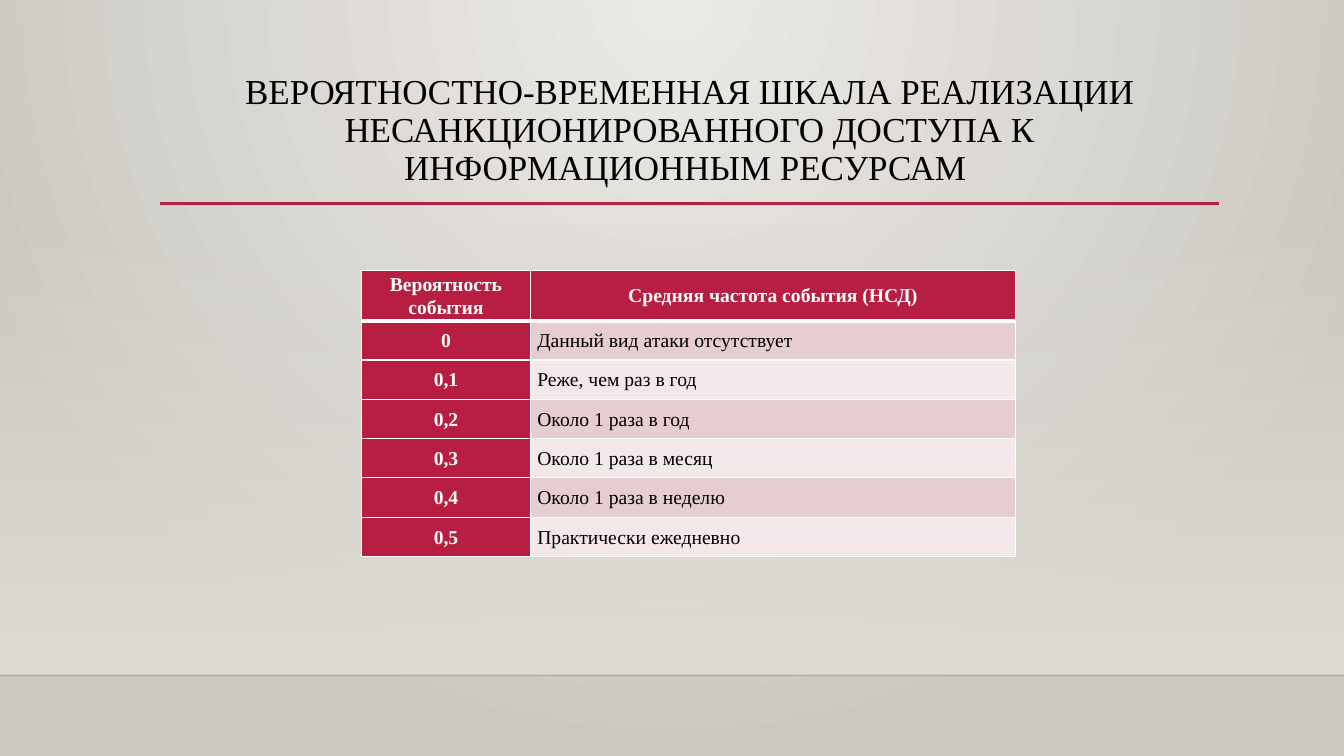
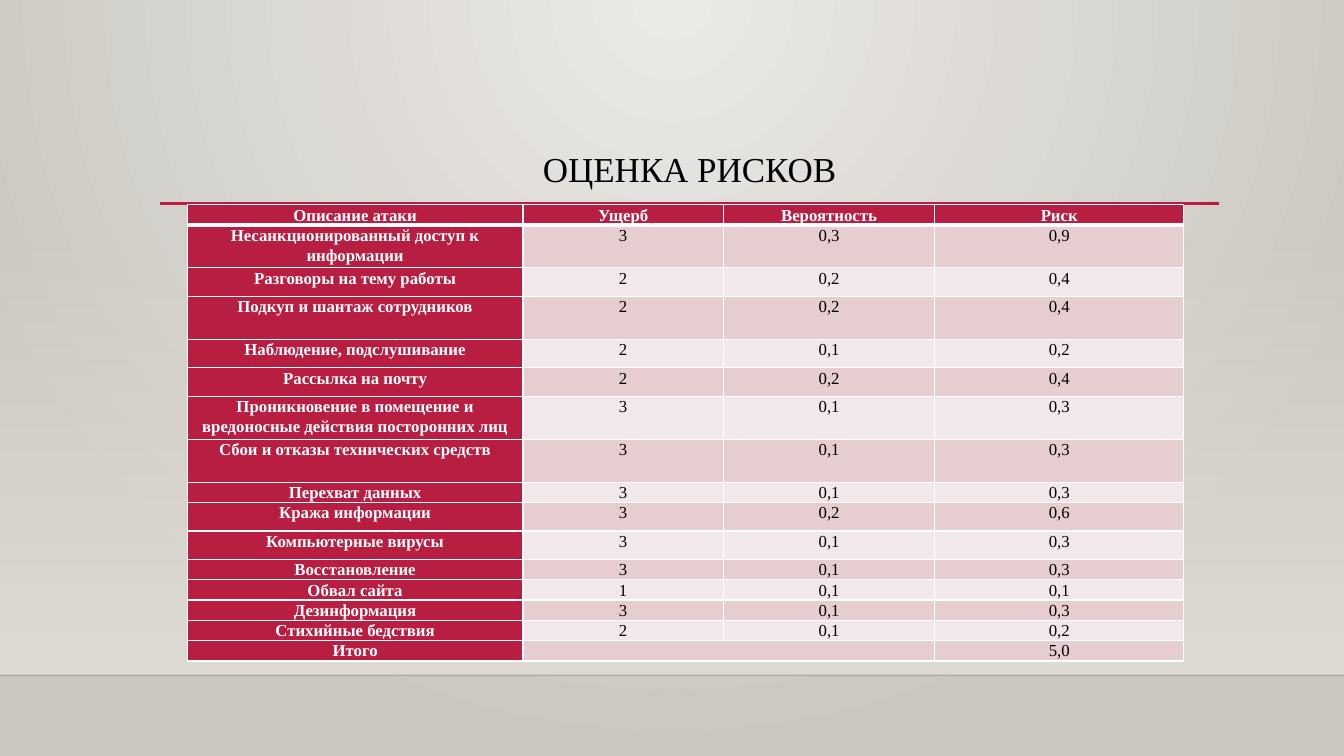
from lxml.etree import SubElement
from pptx import Presentation
from pptx.dml.color import RGBColor
from pptx.enum.shapes import MSO_CONNECTOR as Connector, MSO_SHAPE as Shape
from pptx.enum.text import MSO_ANCHOR as Anchor, MSO_AUTO_SIZE as AutoSize, PP_ALIGN as Align
from pptx.oxml.ns import qn
from pptx.util import Cm, Pt

FONT = "Times New Roman"
BLACK = RGBColor(0x00, 0x00, 0x00)
SHADE = RGBColor(0x00, 0x00, 0x01)
WHITE = RGBColor(0xFF, 0xFF, 0xFF)
CRIMSON = RGBColor(0xB7, 0x1E, 0x42)
BANDS = (RGBColor(0xE6, 0xCD, 0xCF), RGBColor(0xF3, 0xE8, 0xE9))
GLOW = RGBColor(0xEC, 0xEA, 0xE7)
STONE = RGBColor(0xCA, 0xC7, 0xC1)
SAND = RGBColor(0xDF, 0xDB, 0xD5)

WIDTH, HEIGHT = 33.87, 19.05
WALL_TOP, FLOOR_TOP = 5.61, 17.02
RULE_LEFT, RULE_RIGHT, RULE_TOP = 4.04, 30.73, 5.13
TITLE_WIDTH, TITLE_HEIGHT = 26.67, 2.92
LOW, MIDDLE, TALL = 0.51, 0.72, 1.08

FREQUENCIES = [
    ("Вероятность события", "Средняя частота события (НСД)"),
    ("0", "Данный вид атаки отсутствует"),
    ("0,1", "Реже, чем раз в год"),
    ("0,2", "Около 1 раза в год"),
    ("0,3", "Около 1 раза в месяц"),
    ("0,4", "Около 1 раза в неделю"),
    ("0,5", "Практически ежедневно"),
]
RISKS = [
    ("Описание атаки", "Ущерб", "Вероятность", "Риск"),
    ("Несанкционированный доступ к информации", "3", "0,3", "0,9"),
    ("Разговоры на тему работы", "2", "0,2", "0,4"),
    ("Подкуп и шантаж сотрудников", "2", "0,2", "0,4"),
    ("Наблюдение, подслушивание", "2", "0,1", "0,2"),
    ("Рассылка на почту", "2", "0,2", "0,4"),
    ("Проникновение в помещение и вредоносные действия посторонних лиц", "3", "0,1", "0,3"),
    ("Сбои и отказы технических средств", "3", "0,1", "0,3"),
    ("Перехват данных", "3", "0,1", "0,3"),
    ("Кража информации", "3", "0,2", "0,6"),
    ("Компьютерные вирусы", "3", "0,1", "0,3"),
    ("Восстановление", "3", "0,1", "0,3"),
    ("Обвал сайта", "1", "0,1", "0,1"),
    ("Дезинформация", "3", "0,1", "0,3"),
    ("Стихийные бедствия", "2", "0,1", "0,2"),
    ("Итого", "", "", "5,0"),
]
SLIDES = [
    dict(
        title="ВЕРОЯТНОСТНО-ВРЕМЕННАЯ ШКАЛА РЕАЛИЗАЦИИ НЕСАНКЦИОНИРОВАННОГО "
              "ДОСТУПА К ИНФОРМАЦИОННЫМ РЕСУРСАМ ",
        title_top=1.75,
        table=dict(rows=FREQUENCIES, left=9.12, top=6.81, widths=(4.24, 12.24),
                   heights=[1.27] + [0.99] * 6, size=14, inset=0.18,
                   anchor=Anchor.MIDDLE, body_align=Align.LEFT),
    ),
    dict(
        title="ОЦЕНКА РИСКОВ",
        title_top=3.71,
        table=dict(rows=RISKS, left=4.72, top=5.16, widths=(8.46, 5.05, 5.33, 6.27),
                   heights=[LOW, TALL, MIDDLE, TALL, MIDDLE, MIDDLE, TALL, TALL,
                            LOW, MIDDLE, MIDDLE] + [LOW] * 5,
                   size=12, inset=0.1, anchor=Anchor.TOP, body_align=Align.CENTER,
                   merge=((15, 1), (15, 2))),
    ),
]


def write(frame, text, size, color, bold=False, align=Align.CENTER, spacing=1.0, after=0):
    """Put one formatted paragraph into a text frame."""
    para = frame.paragraphs[0]
    para.alignment, para.line_spacing, para.space_after = align, spacing, Pt(after)
    if not text:
        SubElement(para._p, qn("a:endParaRPr")).set("sz", str(size * 100))
        return
    span = para.add_run()
    span.text = text
    span.font.name, span.font.size, span.font.bold = FONT, Pt(size), bold
    span.font.color.rgb = color


def set_alpha(element, percent):
    """Make the first RGB colour inside an element translucent."""
    color = next(element.iter(qn("a:srgbClr")))
    SubElement(color, qn("a:alpha")).set("val", str(percent * 1000))


def set_gradient(fill, first, last):
    """Fill with a two-colour gradient running downwards."""
    fill.gradient()
    fill.gradient_angle = 270
    for stop, color in zip(fill.gradient_stops, (first, last)):
        stop.color.rgb = color


def add_rule(page, left, right, top, color, width):
    """Draw a horizontal line without a shadow."""
    rule = page.shapes.add_connector(Connector.STRAIGHT, Cm(left), Cm(top), Cm(right), Cm(top))
    rule.line.color.rgb, rule.line.width = color, Pt(width)
    SubElement(rule.element.spPr, qn("a:effectLst"))
    return rule


def set_scenery(layout, page):
    """Give the layout its backdrop, wall, floor edge and title rule."""
    set_gradient(layout.background.fill, GLOW, STONE)
    linear = next(layout.element.iter(qn("a:lin")))
    gradient = linear.getparent()
    gradient.remove(linear)
    circle = SubElement(gradient, qn("a:path"), path="circle")
    SubElement(circle, qn("a:fillToRect"), l="43000", t="0", r="43000", b="100000")

    wall = page.shapes.add_shape(Shape.RECTANGLE, 0, Cm(WALL_TOP), Cm(WIDTH),
                                 Cm(FLOOR_TOP - WALL_TOP))
    wall.shadow.inherit = False
    wall.line.fill.background()
    set_gradient(wall.fill, SAND, SAND)
    set_alpha(wall.element, 0)
    edge = add_rule(page, 0, WIDTH, FLOOR_TOP, SHADE, 1)
    set_alpha(edge.element, 20)
    rule = add_rule(page, RULE_LEFT, RULE_RIGHT, RULE_TOP, CRIMSON, 2.5)
    for number, part in enumerate((wall, edge, rule)):
        part.element[0][0].set("id", str(100 + number))
        layout.shapes.element.insert(2 + number, part.element)


def set_borders(cell, top, bottom):
    """Draw white borders around a cell; widths are in points."""
    properties = cell._tc.get_or_add_tcPr()
    sides = (("L", 1), ("R", 1), ("T", top), ("B", bottom))
    for position, (side, width) in enumerate(sides):
        line = SubElement(properties, qn("a:ln" + side), w=str(Pt(width)))
        SubElement(SubElement(line, qn("a:solidFill")), qn("a:srgbClr"), val=str(WHITE))
        properties.insert(position, line)


def add_grid(page, rows, left, top, widths, heights, size, inset, anchor, body_align, merge=None):
    """Add a table with a crimson header row and first column."""
    grid = page.shapes.add_table(len(rows), len(widths), Cm(left), Cm(top),
                                 Cm(sum(widths)), Cm(sum(heights))).table
    grid.first_row = grid.horz_banding = False
    for column, width in zip(grid.columns, widths):
        column.width = Cm(width)
    for row, height in zip(grid.rows, heights):
        row.height = Cm(height)
    for r, texts in enumerate(rows):
        for c, text in enumerate(texts):
            cell = grid.cell(r, c)
            heading = r == 0 or c == 0
            cell.margin_left = cell.margin_right = Cm(inset)
            cell.margin_top = cell.margin_bottom = 0
            cell.vertical_anchor = anchor
            cell.fill.solid()
            cell.fill.fore_color.rgb = CRIMSON if heading else BANDS[(r - 1) % 2]
            set_borders(cell, top=3 if r == 1 else 1, bottom=3 if r == 0 else 1)
            write(cell.text_frame, text, size, WHITE if heading else BLACK, bold=heading,
                  align=Align.CENTER if heading else body_align, spacing=1.07, after=8)
    if merge:
        start, end = merge
        grid.cell(*start).merge(grid.cell(*end))


def set_title(page, text, top):
    """Place and format the title placeholder."""
    title = page.shapes.title
    title.left, title.top = Cm(RULE_LEFT), Cm(top)
    title.width, title.height = Cm(TITLE_WIDTH), Cm(TITLE_HEIGHT)
    frame = title.text_frame
    frame.word_wrap, frame.auto_size = True, AutoSize.NONE
    frame.vertical_anchor = Anchor.TOP
    write(frame, text, 25, BLACK, spacing=0.9)


deck = Presentation()
deck.slide_width, deck.slide_height = Cm(WIDTH), Cm(HEIGHT)
title_only = deck.slide_layouts[5]
for index, content in enumerate(SLIDES):
    page = deck.slides.add_slide(title_only)
    if index == 0:
        set_scenery(title_only, page)
    set_title(page, content["title"], content["title_top"])
    add_grid(page, **content["table"])
deck.save("out.pptx")
